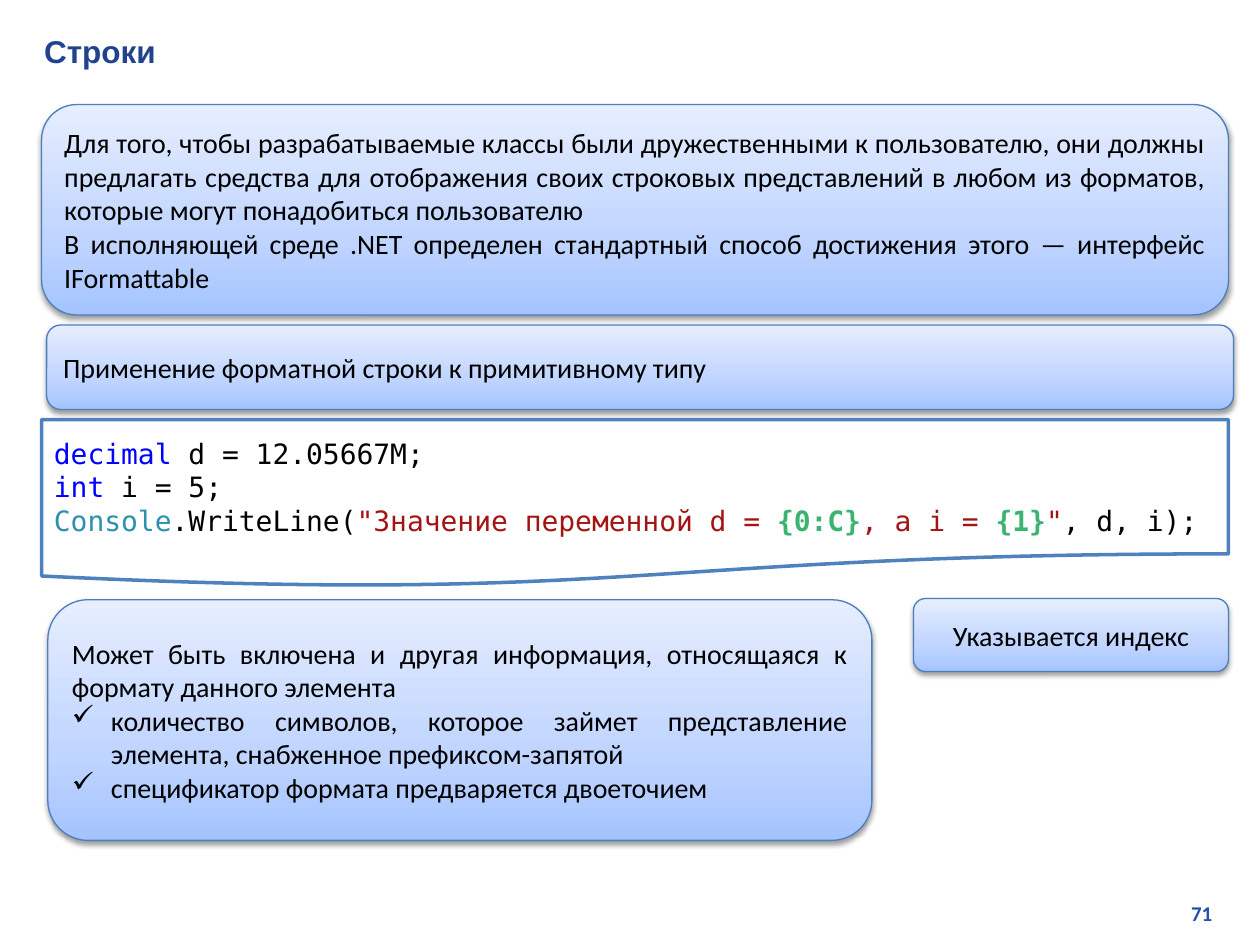
from typing import NamedTuple

from lxml.etree import SubElement as Sub
from pptx import Presentation
from pptx.dml.color import RGBColor
from pptx.enum.shapes import MSO_SHAPE as Kind
from pptx.enum.text import MSO_ANCHOR as Anchor, PP_ALIGN as Align
from pptx.oxml.ns import qn
from pptx.shapes.autoshape import Shape
from pptx.text.text import TextFrame
from pptx.util import Inches, Pt

BLACK = RGBColor(0x00, 0x00, 0x00)
WHITE = RGBColor(0xFF, 0xFF, 0xFF)
NAVY = RGBColor(0x21, 0x43, 0x8F)
PAGE = RGBColor(0x27, 0x50, 0xAB)
EDGE = RGBColor(0x4B, 0x7E, 0xBC)
FRAME = RGBColor(0x4F, 0x81, 0xBD)
BLUE = RGBColor(0x00, 0x00, 0xFF)
TEAL = RGBColor(0x2B, 0x91, 0xAF)
RED = RGBColor(0xA3, 0x15, 0x15)
GREEN = RGBColor(0x3C, 0xB3, 0x71)
STOPS = (
    (0, RGBColor(0xA4, 0xC4, 0xFF)),
    (35, RGBColor(0xBF, 0xD4, 0xFF)),
    (100, RGBColor(0xE6, 0xEE, 0xFF)),
)
SANS = "Calibri"
MONO = "DejaVu Sans Mono"


class Span(NamedTuple):
    text: str
    color: RGBColor = BLACK
    bold: bool = False
    font: str = SANS
    size: int = 16


class Line(NamedTuple):
    spans: list[Span]
    align: Align = Align.JUSTIFY
    mark: str = ""


class Box(NamedTuple):
    left: float
    top: float
    width: float
    height: float
    lines: list[Line]


def code(*parts: tuple) -> Line:
    return Line([Span(*part, font=MONO) for part in parts], Align.LEFT)


CARDS = [
    Box(0.33, 0.83, 9.42, 1.67, [
        Line([Span("Для того, чтобы разрабатываемые классы были дружественными к пользователю, "
                   "они должны предлагать средства для отображения своих строковых "
                   "представлений в любом из форматов, которые могут понадобиться пользователю")]),
        Line([Span("В исполняющей среде .NET определен стандартный способ достижения этого "
                   "— интерфейс IFormattable")]),
    ]),
    Box(0.37, 2.58, 9.42, 0.67, [
        Line([Span("Применение форматной строки к примитивному типу")]),
    ]),
    Box(7.25, 4.75, 2.5, 0.58, [Line([Span("Указывается индекс")], Align.CENTER)]),
    Box(0.38, 4.76, 6.54, 1.91, [
        Line([Span("Может быть включена и другая информация, относящаяся к формату "
                   "данного элемента")]),
        Line([Span("количество символов, которое займет представление элемента, "
                   "снабженное префиксом-запятой")], mark="✓"),
        Line([Span("спецификатор формата предваряется двоеточием")], mark="✓"),
    ]),
]
CODE = Box(0.33, 3.33, 9.42, 1.33, [
    code(("decimal", BLUE), (" d = 12.05667M;",)),
    code(("int ", BLUE), ("i = 5;",)),
    code(
        ("Console", TEAL), (".WriteLine(",),
        ('"Значение переменной d = ', RED), ("{0:C}", GREEN, True),
        (", а i = ", RED), ("{1}", GREEN, True), ('"', RED), (", d, i);",),
    ),
])


def write(frame: TextFrame, lines: list[Line]) -> None:
    frame.word_wrap = True
    frame.vertical_anchor = Anchor.MIDDLE
    for spot, line in enumerate(lines):
        para = frame.add_paragraph() if spot else frame.paragraphs[0]
        para.alignment = line.align
        if line.mark:
            props = para._p.get_or_add_pPr()
            props.set("marL", str(Inches(0.31)))
            props.set("indent", str(Inches(-0.31)))
            Sub(props, qn("a:buChar"), char=line.mark)
        for span in line.spans:
            run = para.add_run()
            run.text = span.text
            font = run.font
            font.name, font.size, font.bold = span.font, Pt(span.size), span.bold
            font.color.rgb = span.color


def shade(shape: Shape) -> None:
    shape.fill.gradient()
    shape.fill.gradient_angle = 90
    props = shape._element.spPr
    stops = props.find(".//" + qn("a:gsLst"))
    for old in list(stops):
        stops.remove(old)
    for place, color in STOPS:
        stop = Sub(stops, qn("a:gs"), pos=str(place * 1000))
        Sub(stop, qn("a:srgbClr"), val=str(color))
    cast = Sub(props.find(qn("a:effectLst")), qn("a:outerShdw"),
               blurRad=str(Pt(3.1)), dist=str(Pt(1.6)), dir="5400000", rotWithShape="0")
    tint = Sub(cast, qn("a:srgbClr"), val=str(BLACK))
    Sub(tint, qn("a:alpha"), val="38000")


def draw(slide, box: Box, kind: Kind, edge: RGBColor, width: float) -> Shape:
    shape = slide.shapes.add_shape(kind, *map(Inches, box[:4]))
    shape.shadow.inherit = False
    shape.line.color.rgb = edge
    shape.line.width = Pt(width)
    write(shape.text_frame, box.lines)
    return shape


def main() -> None:
    deck = Presentation()
    deck.slide_width, deck.slide_height = Inches(10), Inches(7.5)
    slide = deck.slides.add_slide(deck.slide_layouts[5])

    title = slide.shapes.title
    title.left, title.top, title.width, title.height = map(Inches, (0.25, 0.2, 9.54, 0.4))
    write(title.text_frame, [Line([Span("Строки", NAVY, True, "Arial", 18)], Align.LEFT)])

    for card in CARDS:
        shade(draw(slide, card, Kind.ROUNDED_RECTANGLE, EDGE, 0.75))

    sheet = draw(slide, CODE, Kind.FLOWCHART_DOCUMENT, FRAME, 2)
    sheet.fill.solid()
    sheet.fill.fore_color.rgb = WHITE

    page = slide.shapes.add_textbox(*map(Inches, (7.6, 7.1, 2.12, 0.3)))
    write(page.text_frame, [Line([Span("71", PAGE, True, size=12)], Align.RIGHT)])

    deck.save("out.pptx")


if __name__ == "__main__":
    main()
